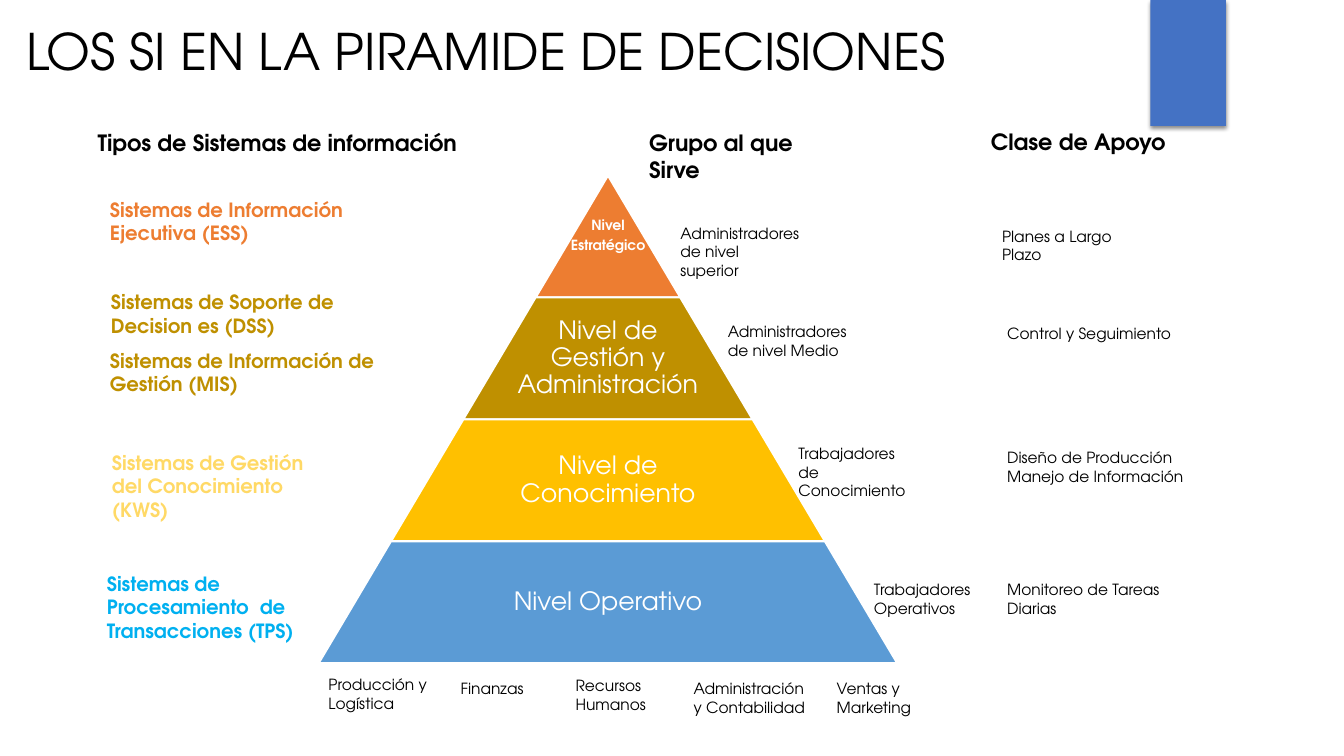
"""Builds a slide on information systems across the decision pyramid."""
from dataclasses import dataclass

from lxml.etree import SubElement
from pptx import Presentation
from pptx.dml.color import RGBColor
from pptx.enum.shapes import MSO_SHAPE as Shape
from pptx.enum.text import MSO_ANCHOR as Anchor, MSO_AUTO_SIZE as AutoSize, PP_ALIGN as Align
from pptx.oxml.ns import qn
from pptx.util import Inches, Pt


@dataclass(frozen=True)
class Theme:
    font: str = "TeX Gyre Adventor"
    black: str = "000000"
    white: str = "FFFFFF"
    accent: str = "4472C4"
    orange: str = "ED7D31"
    bronze: str = "BF9000"
    gold: str = "FFC000"
    pale_gold: str = "FFD966"
    blue: str = "5B9BD5"
    sky: str = "00B0F0"
    title: int = 36
    level: int = 18
    heading: int = 16
    system: int = 14
    note: int = 11
    peak: int = 10


class PyramidSlide:
    def __init__(self, slide, theme):
        self.slide = slide
        self.theme = theme

    def fill_text(self, frame, lines, size, color, bold=False, align=Align.LEFT):
        frame.word_wrap = True
        for index, line in enumerate(lines):
            para = frame.add_paragraph() if index else frame.paragraphs[0]
            para.alignment = align
            span = para.add_run()
            span.text = line
            span.font.name = self.theme.font
            span.font.size = Pt(size)
            span.font.bold = bold
            span.font.color.rgb = RGBColor.from_string(color)

    def title(self, text):
        box = self.slide.shapes.title
        box.left, box.top = Inches(0.16), Inches(0.14)
        box.width, box.height = Inches(11.17), Inches(0.71)
        box.text_frame.auto_size = AutoSize.NONE
        self.fill_text(box.text_frame, [text], self.theme.title, self.theme.black)

    def text(self, left, top, width, height, lines, size, color=None, bold=False, indent=0):
        box = self.slide.shapes.add_textbox(*map(Inches, (left, top, width, height)))
        frame = box.text_frame
        frame.auto_size = AutoSize.SHAPE_TO_FIT_TEXT
        frame.margin_left = Inches(0.1 + indent)
        self.fill_text(frame, lines, size, color or self.theme.black, bold)

    def shape(self, kind, left, top, width, height, fill):
        shape = self.slide.shapes.add_shape(kind, *map(Inches, (left, top, width, height)))
        shape.shadow.inherit = False
        shape.fill.solid()
        shape.fill.fore_color.rgb = RGBColor.from_string(fill)
        shape.line.fill.background()
        return shape

    def accent_bar(self):
        bar = self.shape(Shape.RECTANGLE, 11.41, 0, 0.75, 1.25, self.theme.accent)
        effects = bar.element.spPr.find(qn("a:effectLst"))
        shadow = SubElement(effects, qn("a:outerShdw"), blurRad=str(Pt(3)),
                            dist=str(Pt(2)), dir="5400000", rotWithShape="0")
        tint = SubElement(shadow, qn("a:srgbClr"), val=self.theme.black)
        SubElement(tint, qn("a:alpha"), val="45000")

    def level(self, center, top, width, height, fill, lines, size, text_share, inset, bold):
        block = self.shape(Shape.TRAPEZOID, center - width / 2, top, width, height, fill)
        block.adjustments[0] = 0.593
        block.line.color.rgb = RGBColor.from_string(self.theme.white)
        block.line.width = Pt(1.5)
        text_width = width * text_share
        box = self.slide.shapes.add_textbox(
            *map(Inches, (center - text_width / 2, top, text_width, height)))
        frame = box.text_frame
        frame.vertical_anchor = Anchor.MIDDLE
        frame.margin_left = frame.margin_right = Inches(inset)
        frame.margin_top = frame.margin_bottom = Inches(inset)
        self.fill_text(frame, lines, size, self.theme.white, bold, Align.CENTER)
        for para in frame.paragraphs:
            para.line_spacing = 0.9
            para.space_after = Pt(size * 0.35)


def main():
    theme = Theme()
    deck = Presentation()
    deck.slide_width, deck.slide_height = Inches(13.33), Inches(7.5)
    page = PyramidSlide(deck.slides.add_slide(deck.slide_layouts[5]), theme)
    page.accent_bar()
    page.title("LOS SI EN LA PIRAMIDE DE DECISIONES")

    levels = [
        (theme.orange, ["Nivel", "Estratégico"], theme.peak, 1, 0.01, True),
        (theme.bronze, ["Nivel de Gestión y Administración"], theme.level, 0.65, 0.03, False),
        (theme.gold, ["Nivel de Conocimiento"], theme.level, 0.65, 0.03, False),
        (theme.blue, ["Nivel Operativo"], theme.level, 0.65, 0.03, False),
    ]
    step = 1.21
    for index, style in enumerate(levels):
        page.level(6.03, 1.74 + index * step, 1.435 * (index + 1), step, *style)

    headings = [
        (0.87, 1.23, 3.85, "Tipos de Sistemas de información"),
        (6.34, 1.23, 2.14, "Grupo al que Sirve"),
        (9.73, 1.22, 2.14, "Clase de Apoyo"),
    ]
    for left, top, width, text in headings:
        page.text(left, top, width, 0.37, [text], theme.heading, bold=True)

    systems = [
        (0.49, 1.91, 3.34, 0.57, "Sistemas de Información Ejecutiva (ESS)", theme.orange),
        (0.5, 2.83, 3.34, 0.57, "Sistemas de Soporte de Decision es (DSS)", theme.bronze),
        (0.49, 3.41, 3.34, 0.57, "Sistemas de Información de Gestión (MIS)", theme.bronze),
        (0.51, 4.42, 2.9, 0.81, "Sistemas de Gestión del Conocimiento (KWS)", theme.pale_gold),
        (0.46, 5.62, 3.17, 0.81, "Sistemas de Procesamiento  de Transacciones (TPS)", theme.sky),
    ]
    for left, top, width, height, text, color in systems:
        page.text(left, top, width, height, [text], theme.system, color, True, indent=0.5)

    areas = [
        (3.16, 6.65, 1.26, 0.47, ["Producción y Logística"]),
        (4.47, 6.69, 0.86, 0.29, ["Finanzas"]),
        (5.61, 6.66, 0.94, 0.47, ["Recursos Humanos"]),
        (6.78, 6.69, 1.41, 0.47, ["Administración y Contabilidad"]),
        (8.2, 6.69, 1.26, 0.47, ["Ventas y Marketing"]),
    ]
    groups = [
        (6.65, 2.17, 1.4, 0.47, ["Administradores de nivel superior"]),
        (7.12, 3.15, 1.4, 0.47, ["Administradores de nivel Medio"]),
        (7.82, 4.36, 1.4, 0.47, ["Trabajadores de Conocimiento"]),
        (8.57, 5.71, 1.4, 0.47, ["Trabajadores Operativos"]),
    ]
    support = [
        (9.84, 2.2, 1.7, 0.29, ["Planes a Largo Plazo"]),
        (9.89, 3.17, 2.05, 0.29, ["Control y Seguimiento"]),
        (9.89, 4.4, 2.05, 0.47, ["Diseño de Producción", "Manejo de Información"]),
        (9.89, 5.71, 2.21, 0.29, ["Monitoreo de Tareas Diarias"]),
    ]
    for note in areas + groups + support:
        page.text(*note, theme.note)

    deck.save("out.pptx")


if __name__ == "__main__":
    main()
